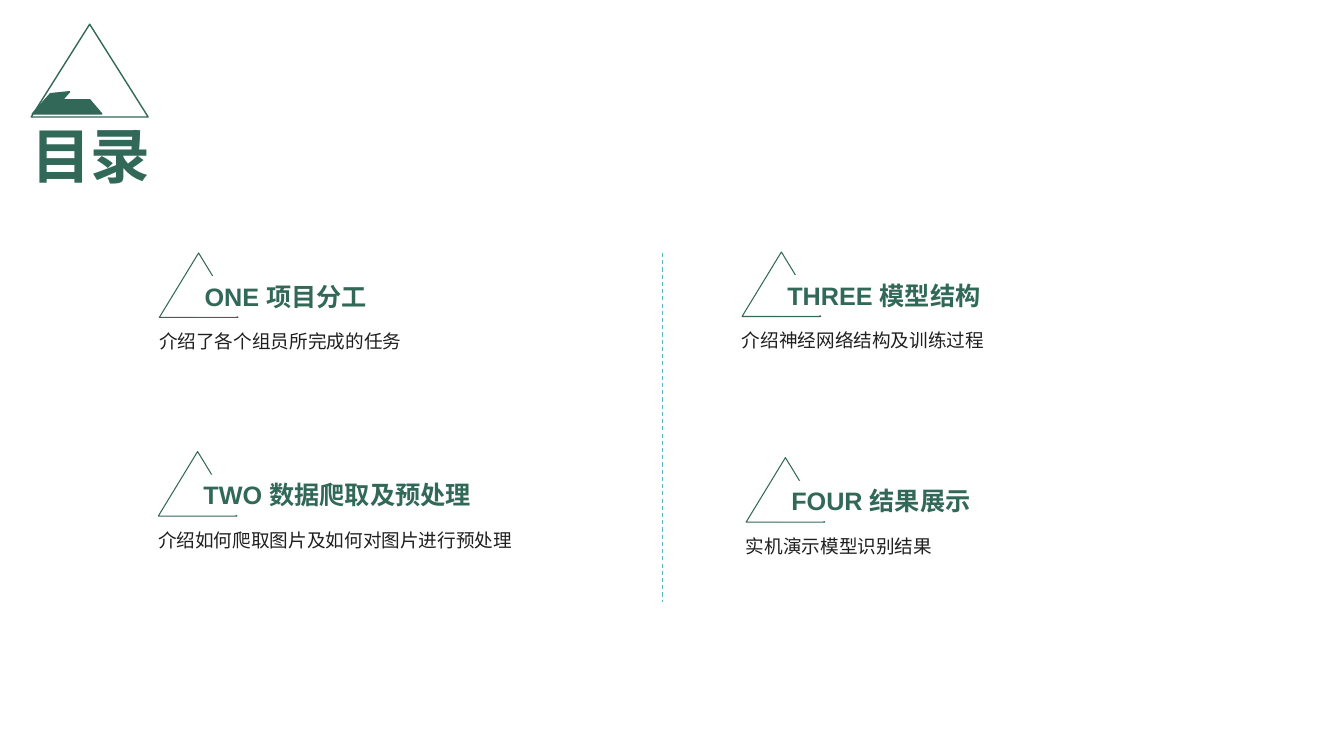
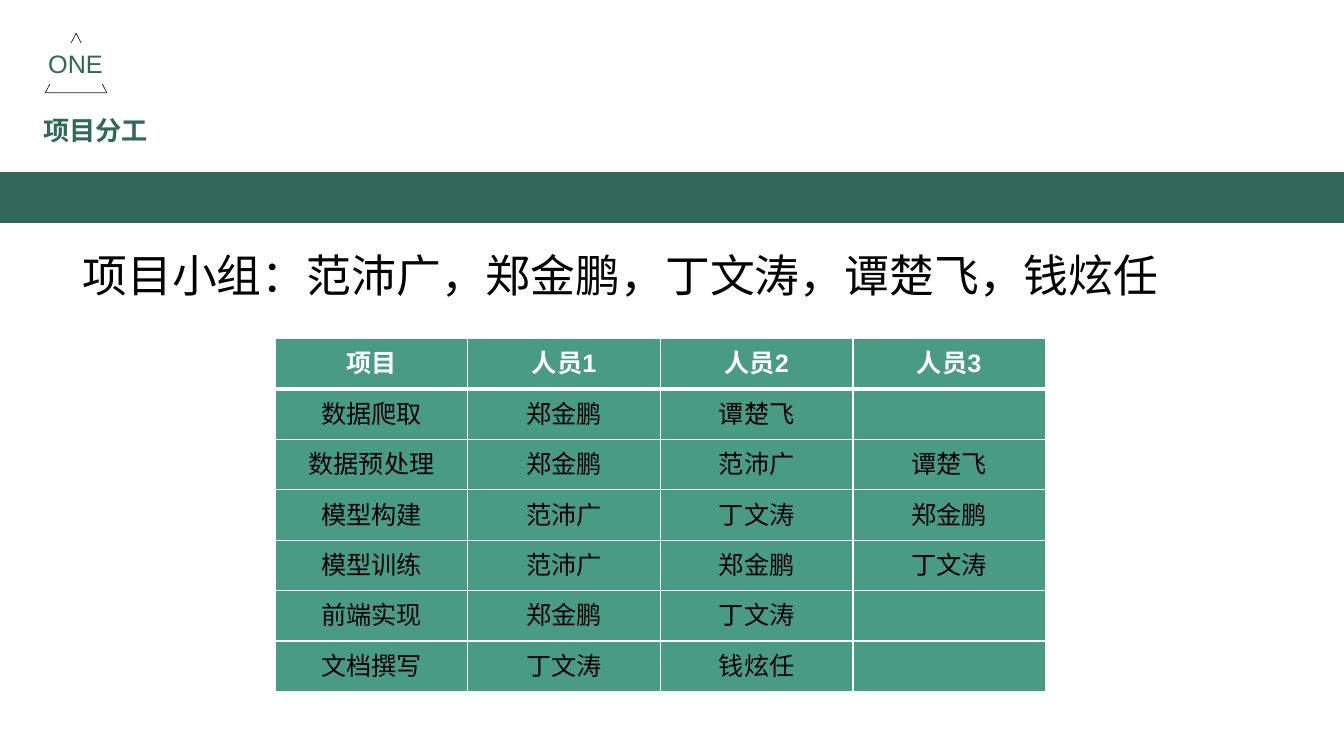
from lxml import etree
from pptx import Presentation
from pptx.dml.color import RGBColor
from pptx.enum.dml import MSO_LINE
from pptx.enum.shapes import MSO_CONNECTOR, MSO_SHAPE
from pptx.enum.text import MSO_ANCHOR, MSO_AUTO_SIZE, PP_ALIGN
from pptx.oxml.ns import qn
from pptx.util import Pt

PX = 9144  # EMU per px, 100 px to the inch
SLIDE_W, SLIDE_H = 1333, 750

GREEN, TABLE_GREEN, TEAL = "316857", "4A9B83", "58B6C0"
INK, BLACK, WHITE = "1F1F1F", "000000", "FFFFFF"
LATIN, CJK, HEADING = "Arial", "Noto Sans CJK SC", "Calibri"

TRIANGLE, RECTANGLE = MSO_SHAPE.ISOSCELES_TRIANGLE, MSO_SHAPE.RECTANGLE
STRAIGHT, DASH = MSO_CONNECTOR.STRAIGHT, MSO_LINE.DASH
TOP, MIDDLE = MSO_ANCHOR.TOP, MSO_ANCHOR.MIDDLE
LEFT, CENTER = PP_ALIGN.LEFT, PP_ALIGN.CENTER
GROW = MSO_AUTO_SIZE.SHAPE_TO_FIT_TEXT

AGENDA = [
    # left, top, heading width, heading, description
    (158, 251, 238, "ONE 项目分工", "介绍了各个组员所完成的任务"),
    (157, 448, 293, "TWO 数据爬取及预处理", "介绍如何爬取图片及如何对图片进行预处理"),
    (736, 250, 238, "THREE 模型结构", "介绍神经网络结构及训练过程"),
    (740, 454, 238, "FOUR 结果展示", "实机演示模型识别结果"),
]
DUTIES = [
    ("项目", "人员1", "人员2", "人员3"),
    ("数据爬取", "郑金鹏", "谭楚飞", ""),
    ("数据预处理", "郑金鹏", "范沛广", "谭楚飞"),
    ("模型构建", "范沛广", "丁文涛", "郑金鹏"),
    ("模型训练", "范沛广", "郑金鹏", "丁文涛"),
    ("前端实现", "郑金鹏", "丁文涛", ""),
    ("文档撰写", "丁文涛", "钱炫任", ""),
]


def px(*lengths):
    return [length * PX for length in lengths]


def rgb(hex_code):
    return RGBColor.from_string(hex_code)


def paint(shape, fill=None, line=None, width=1):
    shape.shadow.inherit = False
    if fill:
        shape.fill.solid()
        shape.fill.fore_color.rgb = rgb(fill)
    else:
        shape.fill.background()
    if line:
        shape.line.color.rgb = rgb(line)
        shape.line.width = Pt(width)
    else:
        shape.line.fill.background()


def add_box(shapes, preset, box, **look):
    shape = shapes.add_shape(preset, *px(*box))
    paint(shape, **look)
    return shape


def style_paragraph(paragraph, size, color, font=LATIN, bold=False, align=LEFT):
    paragraph.alignment = align
    for run in paragraph.runs:
        run.font.size = Pt(size)
        run.font.bold = bold
        run.font.name = font
        run.font.color.rgb = rgb(color)
        east_asian = etree.Element(qn("a:ea"), typeface=CJK)
        run.font._element.find(qn("a:latin")).addnext(east_asian)


def write(shape, text, size, color, wrap=True, anchor=TOP, spacing=None, **style):
    frame = shape.text_frame
    frame.text = text
    frame.word_wrap = wrap
    frame.vertical_anchor = anchor
    frame.auto_size = GROW
    paragraph = frame.paragraphs[0]
    if spacing:
        paragraph.line_spacing = spacing
    style_paragraph(paragraph, size, color, **style)
    return frame


def add_text(shapes, box, text, size, color, **style):
    return write(shapes.add_textbox(*px(*box)), text, size, color, **style)


def agenda_title(slide, left, top):
    """Mountain emblem with the slide title under it."""
    ridge = [(1, 89), (19, 69), (38, 67), (31, 75), (58, 75), (70, 89)]
    outline = [(left + x, top + y) for x, y in ridge]
    builder = slide.shapes.build_freeform(*outline[0], scale=PX)
    builder.add_line_segments(outline[1:], close=True)
    paint(builder.convert_to_shape(), fill=GREEN, line=GREEN)
    add_text(slide.shapes, (left - 10, top + 89, 140, 82), "目录", 42.7, GREEN,
             wrap=False, font=CJK, bold=True)
    add_box(slide.shapes, TRIANGLE, (left, top, 116, 92), line=GREEN)


def agenda_entry(slide, left, top, heading_width, heading, description):
    shapes = slide.shapes.add_group_shape().shapes
    add_box(shapes, TRIANGLE, (left, top, 78, 64), line=GREEN, width=0.75)
    add_text(shapes, (left - 10, top + 65, 406, 37), description, 13.3, INK,
             spacing=1.3)
    label = add_box(shapes, RECTANGLE, (left + 35, top + 23, heading_width, 40),
                    fill=WHITE)
    write(label, heading, 18, GREEN, bold=True)


def column_divider(slide, x, top, bottom):
    divider = slide.shapes.add_connector(STRAIGHT, *px(x, top, x, bottom))
    divider.line.color.rgb = rgb(TEAL)
    divider.line.width = Pt(0.75)
    divider.line.dash_style = DASH
    etree.SubElement(divider._element.spPr, qn("a:effectLst"))


def section_header(slide, left, top, number, title):
    """Numbered triangle, section title and the full-width band below."""
    frame = add_text(slide.shapes, (left - 15, top + 71, 315, 46), title, 18.7,
                     GREEN, anchor=MIDDLE, spacing=1.1, font=HEADING, bold=True)
    frame.margin_left = frame.margin_right = 13 * PX
    frame.margin_top = frame.margin_bottom = 7 * PX
    add_box(slide.shapes, TRIANGLE, (left, top, 61, 59), line=INK, width=0.5)
    badge = add_box(slide.shapes, RECTANGLE, (left - 7, top + 10, 75, 40),
                    fill=WHITE, line=WHITE, width=0.75)
    write(badge, number, 18, GREEN, wrap=False)
    add_box(slide.shapes, RECTANGLE, (0, top + 138, SLIDE_W, 50),
            fill=GREEN, line=GREEN)


def border_cell(cell, **widths):
    """Draw white borders; widths are points keyed by L, R, T and B."""
    properties = cell._tc.get_or_add_tcPr()
    for side, width in widths.items():
        border = etree.SubElement(properties, qn("a:ln" + side), w=str(Pt(width)))
        fill = etree.SubElement(border, qn("a:solidFill"))
        etree.SubElement(fill, qn("a:srgbClr"), val=WHITE)


def duty_table(slide, left, top, column_width, row_height):
    rows, columns = len(DUTIES), len(DUTIES[0])
    box = px(left, top, column_width * columns, row_height * rows)
    table = slide.shapes.add_table(rows, columns, *box).table
    table.horz_banding = False
    for r, duties in enumerate(DUTIES):
        table.rows[r].height = row_height * PX
        header = r == 0
        for c, text in enumerate(duties):
            cell = table.cell(r, c)
            border_cell(cell, L=1, R=1, T=3 if r == 1 else 1, B=3 if header else 1)
            cell.fill.solid()
            cell.fill.fore_color.rgb = rgb(TABLE_GREEN)
            cell.text_frame.text = text
            style_paragraph(cell.text_frame.paragraphs[0], 18,
                            WHITE if header else BLACK, bold=header, align=CENTER)


def agenda_slide(slide):
    agenda_title(slide, 31, 24)
    column_divider(slide, 657, 251, 597)
    for entry in AGENDA:
        agenda_entry(slide, *entry)


def duty_slide(slide):
    section_header(slide, 45, 33, "ONE", "项目分工")
    duty_table(slide, 273, 336, 191, 50)
    add_text(slide.shapes, (72, 241, 1165, 64),
             "项目小组：范沛广，郑金鹏，丁文涛，谭楚飞，钱炫任", 32, BLACK)


def main():
    deck = Presentation()
    deck.slide_width, deck.slide_height = px(SLIDE_W, SLIDE_H)
    blank = deck.slide_layouts[6]
    for build in (agenda_slide, duty_slide):
        build(deck.slides.add_slide(blank))
    deck.save("out.pptx")


if __name__ == "__main__":
    main()
